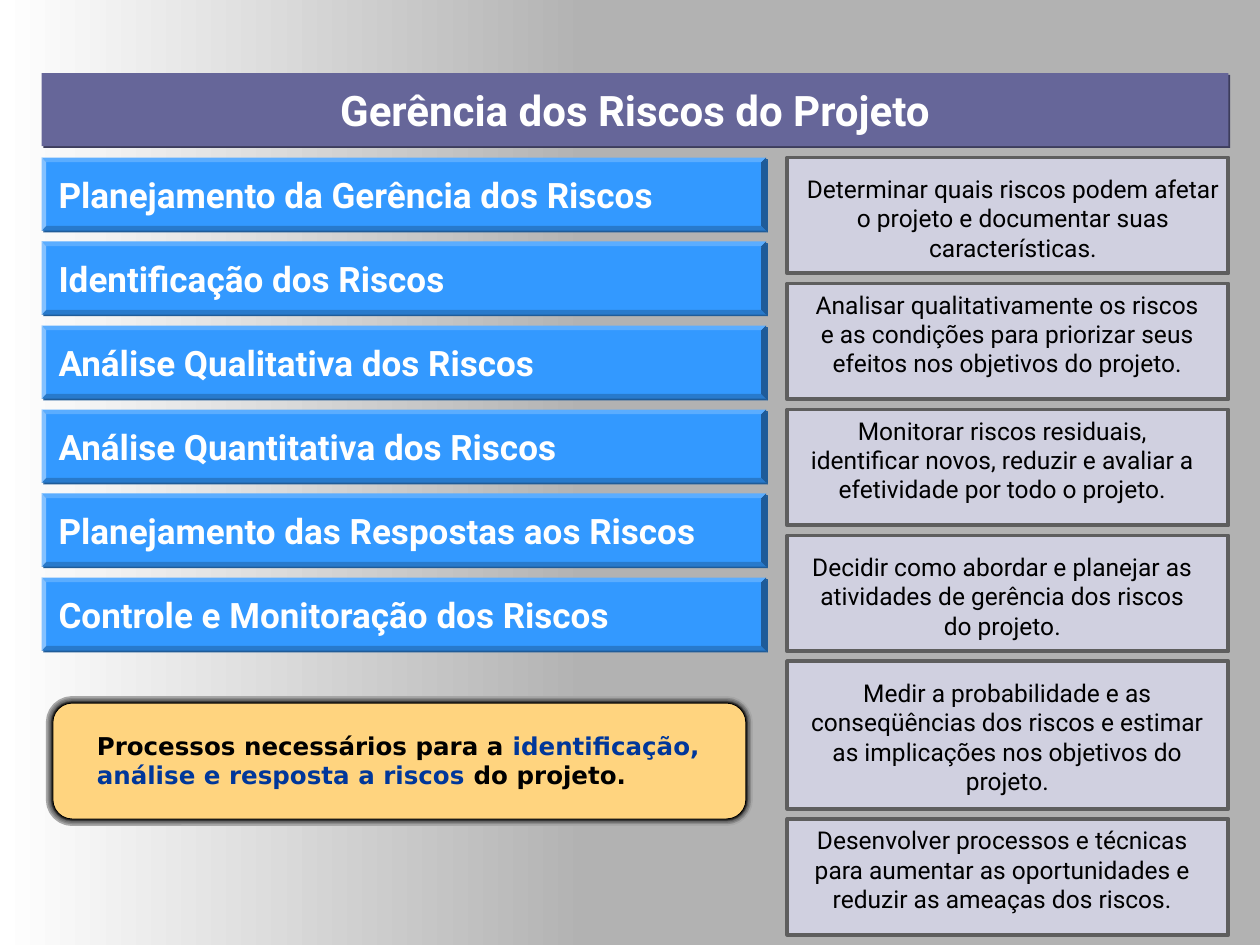
from lxml import etree
from pptx import Presentation
from pptx.dml.color import RGBColor
from pptx.enum.shapes import MSO_SHAPE
from pptx.enum.text import MSO_ANCHOR, MSO_AUTO_SIZE, PP_ALIGN
from pptx.oxml.ns import qn
from pptx.util import Inches, Pt

RECTANGLE, ROUNDED, BEVEL = MSO_SHAPE.RECTANGLE, MSO_SHAPE.ROUNDED_RECTANGLE, MSO_SHAPE.BEVEL
LEFT, CENTER = PP_ALIGN.LEFT, PP_ALIGN.CENTER
TOP, MIDDLE = MSO_ANCHOR.TOP, MSO_ANCHOR.MIDDLE
NO_AUTOFIT = MSO_AUTO_SIZE.NONE

COLORS = {
    "white": "FFFFFF", "black": "000000", "gray": "B2B2B2",
    "purple": "666699", "purple_shadow": "3D3D5C",
    "blue": "3399FF", "blue_shadow": "1F5C99",
    "lilac": "D0D0E0", "border": "5E5E5E",
    "green": "00CC99", "amber": "FFD47F", "navy": "00379A",
}
FORMATS = {
    "title": {"name": "Roboto", "size": Pt(24), "bold": True},
    "process": {"name": "Roboto", "size": Pt(20), "bold": True},
    "description": {"name": "Roboto", "size": Pt(14), "bold": False},
    "summary": {"name": "DejaVu Sans", "size": Pt(14), "bold": True},
}

TITLE = "Gerência dos Riscos do Projeto"
PROCESSES = [
    "Planejamento da Gerência dos Riscos",
    "Identificação dos Riscos",
    "Análise Qualitativa dos Riscos",
    "Análise Quantitativa dos Riscos",
    "Planejamento das Respostas aos Riscos",
    "Controle e Monitoração dos Riscos",
]
DESCRIPTIONS = [
    ("Determinar quais riscos podem afetar o projeto e documentar suas características.",
     0.92, (0, 0.08, 3.58, 0.8)),
    ("Analisar qualitativamente os riscos e as condições para priorizar seus efeitos nos objetivos do projeto.",
     0.92, (0.08, 0, 3.33, 1.04)),
    ("Monitorar riscos residuais, identificar novos, reduzir e avaliar a efetividade por todo o projeto.",
     0.92, (0.08, 0, 3.25, 1.04)),
    ("Decidir como abordar e planejar as atividades de gerência dos riscos do projeto.",
     0.92, (0.08, 0.08, 3.25, 0.8)),
    ("Medir a probabilidade e as conseqüências dos riscos e estimar as implicações nos objetivos do projeto.",
     1.17, (0.08, 0.08, 3.33, 1.04)),
    ("Desenvolver processos e técnicas para aumentar as oportunidades e reduzir as ameaças dos riscos.",
     0.92, (0.08, 0, 3.25, 1.04)),
]
SUMMARY = [
    ("Processos necessários para a ", "black"),
    ("identificação, análise e resposta a riscos ", "navy"),
    ("do projeto.", "black"),
]
SUMMARY_LAYERS = [
    ("green", "A7A7A7", 8), ("green", "8A8A8A", 6), ("green", "727272", 4.5),
    ("green", "5E5E5E", 3), ("green", "404040", 2.25), ("green", "292929", 1.5),
    ("amber", "000000", 0.5),
]
BAR_LEFT, BAR_TOP, BAR_WIDTH, BAR_HEIGHT, BAR_STEP = 0.33, 1.25, 5.75, 0.58, 2 / 3
CARD_LEFT, CARD_TOP, CARD_WIDTH, CARD_GAP = 6.25, 1.25, 3.5, 0.08


def color(name):
    return RGBColor.from_string(COLORS.get(name, name))


def write(shape, spans, style, align=LEFT, anchor=TOP):
    frame = shape.text_frame
    settings = {"word_wrap": True, "auto_size": NO_AUTOFIT, "vertical_anchor": anchor,
                "margin_left": Inches(0.1), "margin_right": Inches(0.1),
                "margin_top": Inches(0.05), "margin_bottom": Inches(0.05)}
    for key, value in settings.items():
        setattr(frame, key, value)
    para = frame.paragraphs[0]
    para.alignment = align
    for text, shade in spans:
        span = para.add_run()
        span.text = text
        for key, value in FORMATS[style].items():
            setattr(span.font, key, value)
        span.font.color.rgb = color(shade)


def add_box(shapes, kind, place, fill, line=None, width=0):
    box = shapes.add_shape(kind, *map(Inches, place))
    box.shadow.inherit = False
    box.fill.solid()
    box.fill.fore_color.rgb = color(fill)
    if line:
        box.line.color.rgb = color(line)
        box.line.width = Pt(width)
    else:
        box.line.fill.background()
    return box


def cast_shadow(shape, shade):
    shape.shadow.inherit = False
    effects = shape._element.spPr.find(qn("a:effectLst"))
    shadow = etree.SubElement(effects, qn("a:outerShdw"), blurRad="0", dist=str(Pt(1.4)),
                              dir="2700000", algn="ctr", rotWithShape="0")
    etree.SubElement(shadow, qn("a:srgbClr"), val=COLORS[shade])


def add_background(page):
    page.background.fill.solid()
    page.background.fill.fore_color.rgb = color("gray")
    fade = add_box(page.shapes, RECTANGLE, (0, 0, 4.67, 7.5), "white")
    fade.fill.gradient()
    fade.fill.gradient_angle = 0
    for stop, shade, position in zip(fade.fill.gradient_stops, ("white", "gray"), (0, 1)):
        stop.color.rgb = color(shade)
        stop.position = position
    add_box(page.shapes, RECTANGLE, (4.83, 0, 5.17, 7.5), "gray")


def add_title(page):
    title = page.shapes.title
    place = {"left": BAR_LEFT, "top": 0.58, "width": 9.42, "height": BAR_HEIGHT}
    for key, value in place.items():
        setattr(title, key, Inches(value))
    geometry = etree.SubElement(title._element.spPr, qn("a:prstGeom"), prst="bevel")
    guides = etree.SubElement(geometry, qn("a:avLst"))
    etree.SubElement(guides, qn("a:gd"), name="adj", fmla="val 6250")
    title.fill.solid()
    title.fill.fore_color.rgb = color("purple")
    cast_shadow(title, "purple_shadow")
    write(title, [(TITLE, "white")], "title", CENTER, MIDDLE)
    page.shapes._spTree.append(title._element)


def add_processes(page):
    for index, text in enumerate(PROCESSES):
        place = (BAR_LEFT, BAR_TOP + index * BAR_STEP, BAR_WIDTH, BAR_HEIGHT)
        bar = add_box(page.shapes, BEVEL, place, "blue")
        bar.adjustments[0] = 0.0625
        cast_shadow(bar, "blue_shadow")
        write(bar, [(text, "white")], "process", LEFT, MIDDLE)


def add_summary(page):
    group = page.shapes.add_group_shape()
    for fill, line, width in SUMMARY_LAYERS:
        layer = add_box(group.shapes, ROUNDED, (0.42, 5.58, 5.5, 0.92), fill, line, width)
        layer.adjustments[0] = 0.167
    box = page.shapes.add_textbox(*map(Inches, (0.67, 5.75, 5, 0.57)))
    write(box, SUMMARY, "summary")


def add_descriptions(page):
    top = CARD_TOP
    for text, height, (inset, drop, width, text_height) in DESCRIPTIONS:
        group = page.shapes.add_group_shape()
        add_box(group.shapes, RECTANGLE, (CARD_LEFT, top, CARD_WIDTH, height), "lilac", "border", 2.25)
        place = (CARD_LEFT + inset, top + drop, width, text_height)
        box = group.shapes.add_textbox(*map(Inches, place))
        write(box, [(text, "black")], "description", CENTER)
        top += height + CARD_GAP


def main():
    deck = Presentation()
    deck.slide_width, deck.slide_height = Inches(10), Inches(7.5)
    page = deck.slides.add_slide(deck.slide_layouts[5])
    for build in (add_background, add_title, add_processes, add_summary, add_descriptions):
        build(page)
    deck.save("out.pptx")


if __name__ == "__main__":
    main()
